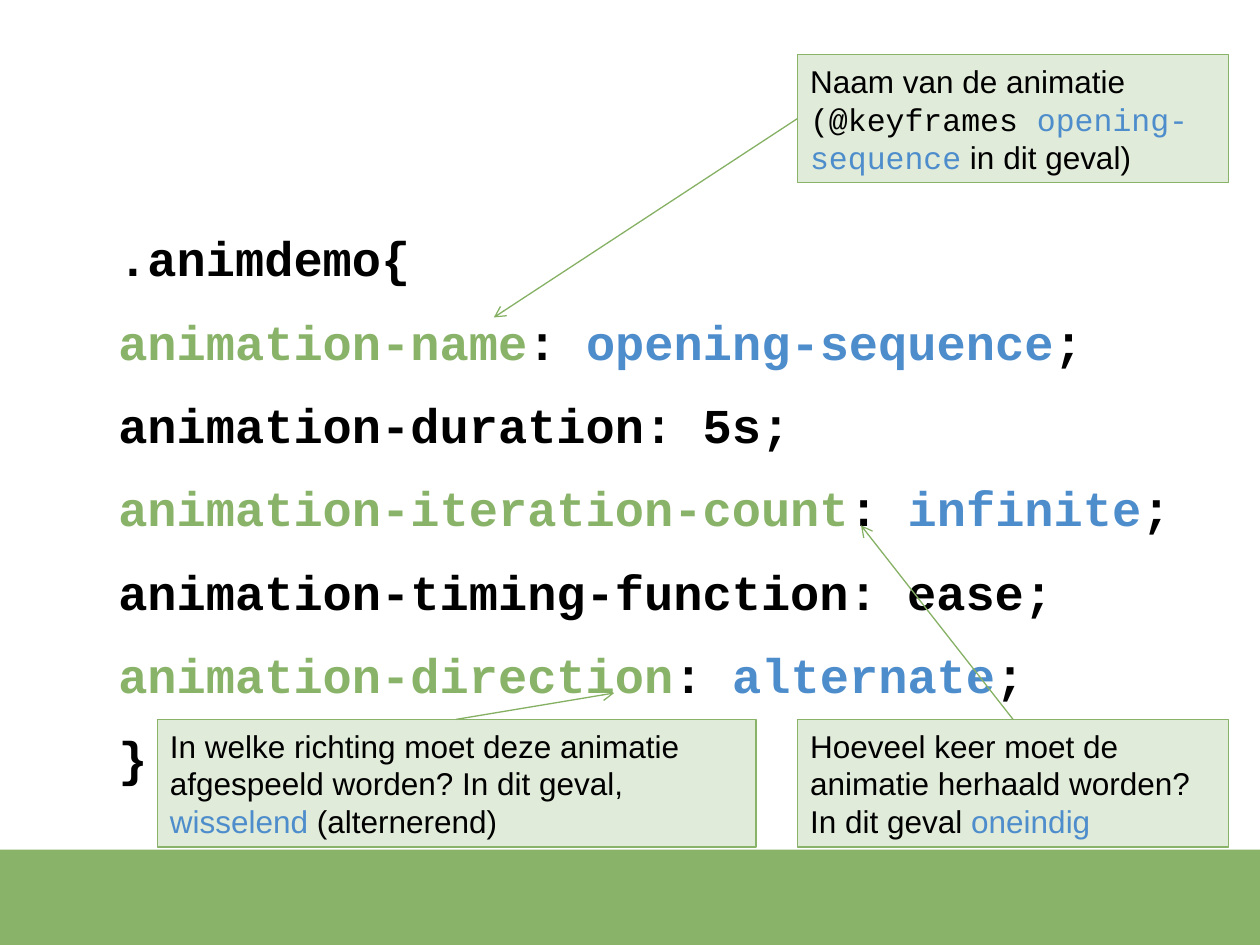
from lxml import etree
from pptx import Presentation
from pptx.dml.color import RGBColor
from pptx.enum.shapes import MSO_CONNECTOR, MSO_SHAPE
from pptx.enum.text import MSO_ANCHOR, PP_ALIGN
from pptx.oxml.ns import qn
from pptx.util import Pt

RECTANGLE = MSO_SHAPE.RECTANGLE
STRAIGHT = MSO_CONNECTOR.STRAIGHT
TOP, MIDDLE = MSO_ANCHOR.TOP, MSO_ANCHOR.MIDDLE
LEFT = PP_ALIGN.LEFT

THEME = {
    "green": RGBColor(0x89, 0xB3, 0x68),
    "arrow": RGBColor(0x86, 0xB1, 0x64),
    "blue": RGBColor(0x4E, 0x8D, 0xCC),
    "black": RGBColor(0, 0, 0),
    "sans": "Arial",
    "mono": "Courier New",
    "code_size": Pt(27.8),
    "note_size": Pt(18),
    "line_width": Pt(0.75),
}


def add_runs(paragraph, runs, size, bold):
    for text, color, font in runs:
        run = paragraph.add_run()
        run.text = text
        run.font.color.rgb = THEME[color]
        formats = {"name": THEME[font], "size": size, "bold": bold}
        for key, value in formats.items():
            setattr(run.font, key, value)


def add_box(left, top, width, height):
    box = slide.shapes.add_shape(RECTANGLE, Pt(left), Pt(top), Pt(width), Pt(height))
    box.shadow.inherit = False
    box.fill.solid()
    box.fill.fore_color.rgb = THEME["green"]
    return box


prs = Presentation()
prs.slide_width, prs.slide_height = Pt(720), Pt(540)
slide = prs.slides.add_slide(prs.slide_layouts[6])

footer = add_box(0, 485.5, 720, 54.5)
footer.line.fill.background()

declarations = [
    ("animation-name", "opening-sequence", True),
    ("animation-duration", "5s", False),
    ("animation-iteration-count", "infinite", True),
    ("animation-timing-function", "ease", False),
    ("animation-direction", "alternate", True),
]
code_lines = [[(".animdemo{", "black", "mono")]]
for name, value, explained in declarations:
    code_lines.append([
        (name, "green" if explained else "black", "mono"),
        (": ", "black", "mono"),
        (value, "blue" if explained else "black", "mono"),
        (";", "black", "mono"),
    ])
code_lines.append([("}", "black", "mono")])

code = slide.shapes.add_textbox(Pt(51.8), Pt(120.2), Pt(632.2), Pt(356.4)).text_frame
for key, value in {"word_wrap": True, "vertical_anchor": TOP, "margin_left": Pt(15.8)}.items():
    setattr(code, key, value)
for index, line in enumerate(code_lines):
    paragraph = code.add_paragraph() if index else code.paragraphs[0]
    for key, value in {"line_spacing": 1.2, "space_before": Pt(7.6)}.items():
        setattr(paragraph, key, value)
    add_runs(paragraph, line, THEME["code_size"], True)

RIGHT_X, RIGHT_WIDTH, LOWER_Y = 455.8, 246.2, 411.1
notes = [
    (RIGHT_X, 31.3, RIGHT_WIDTH, [
        ("Naam van de animatie ", "black", "sans"),
        ("(@keyframes ", "black", "mono"),
        ("opening-sequence", "blue", "mono"),
        (" in dit geval)", "black", "sans"),
    ]),
    (RIGHT_X, LOWER_Y, RIGHT_WIDTH, [
        ("Hoeveel keer moet de animatie herhaald worden? In dit geval ", "black", "sans"),
        ("oneindig", "blue", "sans"),
    ]),
    (90, LOWER_Y, 342, [
        ("In welke richting moet deze animatie afgespeeld worden? In dit geval, ", "black", "sans"),
        ("wisselend", "blue", "sans"),
        (" (alternerend)", "black", "sans"),
    ]),
]
for left, top, width, runs in notes:
    note = add_box(left, top, width, 73)
    fill_color = note.fill._xPr.find(qn("a:solidFill"))[0]
    etree.SubElement(fill_color, qn("a:alpha"), val="25000")
    note.line.color.rgb = THEME["green"]
    note.line.width = THEME["line_width"]
    for key, value in {"word_wrap": True, "vertical_anchor": MIDDLE}.items():
        setattr(note.text_frame, key, value)
    paragraph = note.text_frame.paragraphs[0]
    paragraph.alignment = LEFT
    add_runs(paragraph, runs, THEME["note_size"], False)

arrows = [
    (RIGHT_X, 67.7, 282.2, 181.4),
    (578.9, LOWER_Y, 492, 300.2),
    (260.6, LOWER_Y, 351, 396),
]
for ends in arrows:
    arrow = slide.shapes.add_connector(STRAIGHT, *[Pt(end) for end in ends])
    arrow.line.color.rgb = THEME["arrow"]
    arrow.line.width = THEME["line_width"]
    etree.SubElement(arrow.line._get_or_add_ln(), qn("a:tailEnd"), type="arrow")
    etree.SubElement(arrow._element.spPr, qn("a:effectLst"))

prs.save("out.pptx")
